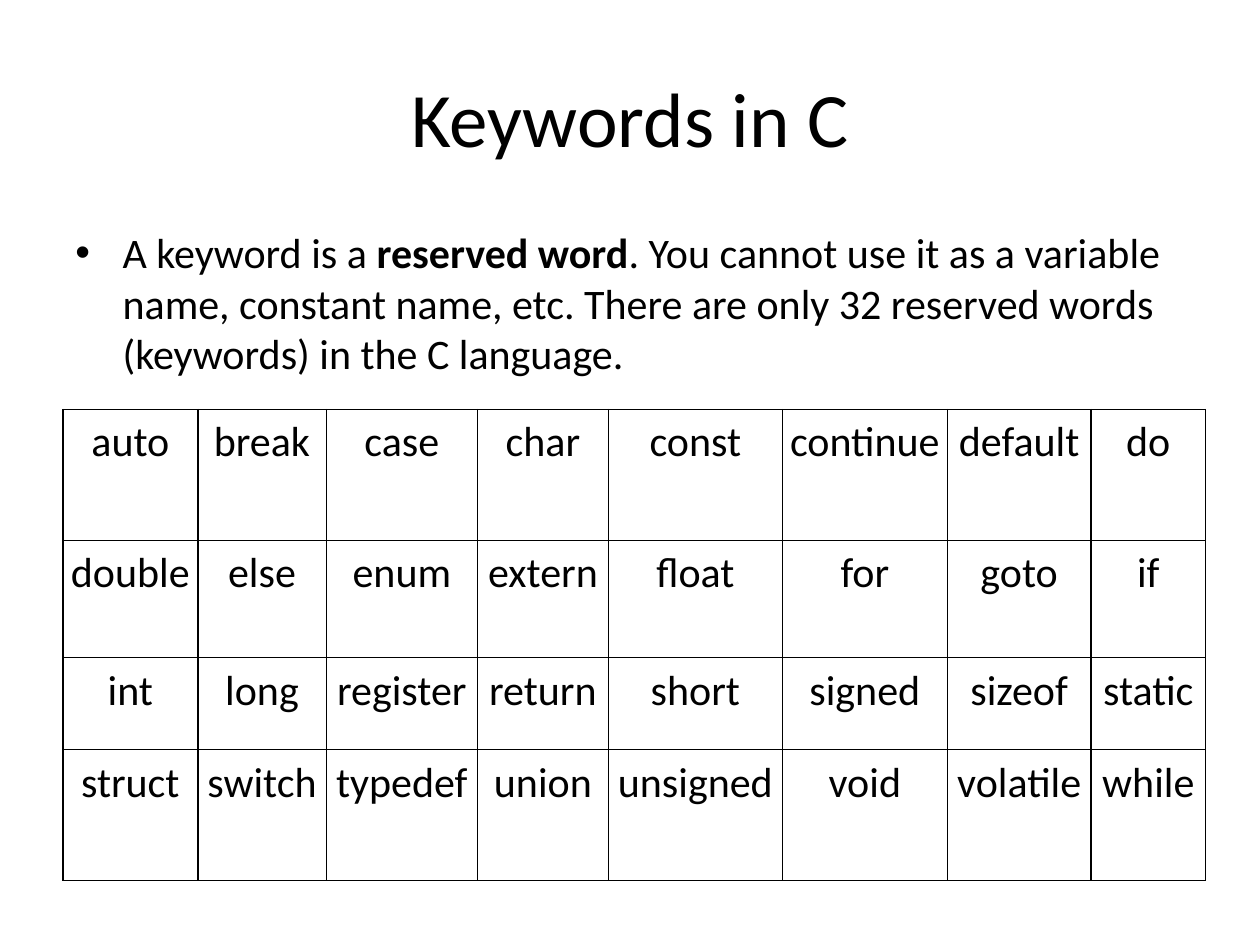
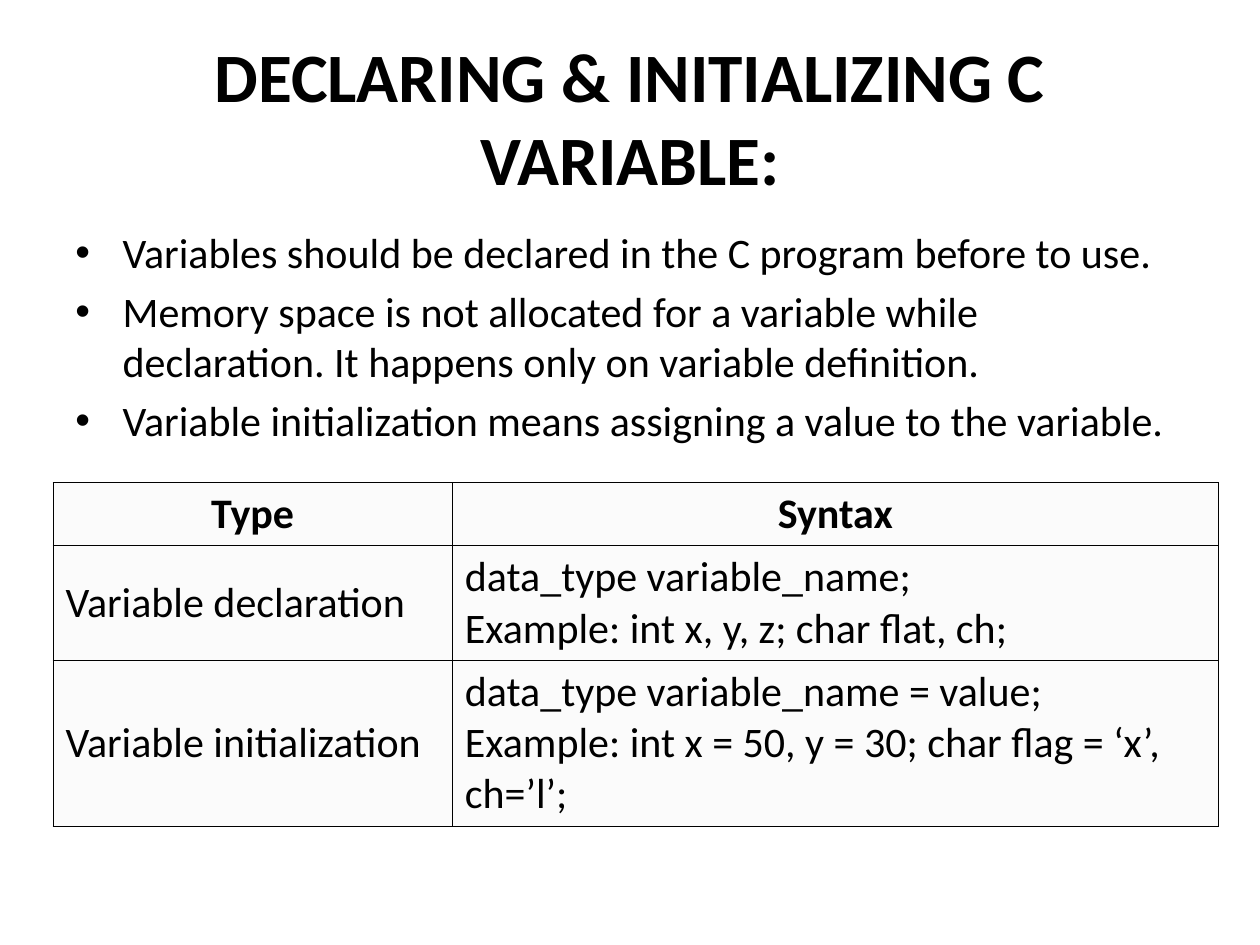
from lxml import etree
from pptx import Presentation
from pptx.dml.color import RGBColor
from pptx.enum.text import MSO_ANCHOR as Anchor, PP_ALIGN as Align
from pptx.oxml.ns import qn
from pptx.util import Inches, Pt

FONT, BLACK, CELL_GREY = "Calibri", "000000", "FBFBFB"
BODY_SIZE = 24
SLIDE_WIDTH, SLIDE_HEIGHT = 10, 7.5
MARGIN = 0.05 * SLIDE_WIDTH
TITLE_BOX = (MARGIN, 0.04 * SLIDE_HEIGHT, SLIDE_WIDTH - 2 * MARGIN, 1.25)
BODY_BOX = (MARGIN, 1.75, SLIDE_WIDTH - 2 * MARGIN, 4.95)
BULLET_INDENT = 0.375

# A paragraph is a list of (text, bold) runs; a cell is a list of lines.
SLIDES = [
    {
        "title": "Keywords in C",
        "title_format": {"size": 44},
        "bullets": [[
            ("A keyword is a ", False),
            ("reserved word", True),
            (". You cannot use it as a variable name, constant name, etc. "
             "There are only 32 reserved words (keywords) in the C language.", False),
        ]],
        "rows": [[[word] for word in line.split()] for line in (
            "auto break case char const continue default do",
            "double else enum extern float for goto if",
            "int long register return short signed sizeof static",
            "struct switch typedef union unsigned void volatile while",
        )],
        "table_format": {
            "corner": (MARGIN, 3.25),
            "widths": [1.07, 1.02, 1.2, 1.04, 1.38, 1.31, 1.14, 0.91],
            "heights": [1.04, 0.93, 0.73, 1.04],
            "insets": (0.06, 0.06), "border": 1, "centred": True,
        },
    },
    {
        "title": "DECLARING & INITIALIZING C VARIABLE:",
        "title_format": {"size": 39.6, "bold": True},
        "bullets": [
            [("Variables should be declared in the C program before to use.", False)],
            [("Memory space is not allocated for a variable while declaration. "
              "It happens only on variable definition.", False)],
            [("Variable initialization means assigning a value to the variable.", False)],
        ],
        "rows": [
            [["Type"], ["Syntax"]],
            [["Variable declaration"],
             ["data_type variable_name;", "Example: int x, y, z; char flat, ch;"]],
            [["Variable initialization"],
             ["data_type variable_name = value;",
              "Example: int x = 50, y = 30; char flag = ‘x’, ch=’l’;"]],
        ],
        "table_format": {
            "corner": (0.42, 3.83),
            "widths": [3.17, 6.08],
            "heights": [0.5, 0.91, 1.32],
            "insets": (0.1, 0.05), "border": 0.5, "fill": CELL_GREY,
            "anchor": Anchor.MIDDLE, "header": True,
        },
    },
]


def color(value):
    return RGBColor.from_string(value)


def inches(values):
    return [Inches(value) for value in values]


def write(paragraph, text, size=BODY_SIZE, bold=False, align=None):
    """Add one formatted run to a paragraph."""
    run = paragraph.add_run()
    run.text = text
    run.font.name, run.font.size, run.font.bold = FONT, Pt(size), bold
    run.font.color.rgb = color(BLACK)
    if align is not None:
        paragraph.alignment = align


def paragraphs_for(frame, items):
    """Yield a paragraph of the frame with each item."""
    for index, item in enumerate(items):
        yield (frame.add_paragraph() if index else frame.paragraphs[0]), item


def add_title(slide, text, **text_format):
    title = slide.shapes.title
    title.left, title.top, title.width, title.height = inches(TITLE_BOX)
    title.text_frame.vertical_anchor = Anchor.MIDDLE
    write(title.text_frame.paragraphs[0], text, align=Align.CENTER, **text_format)


def add_bullets(slide, bullets):
    frame = slide.shapes.add_textbox(*inches(BODY_BOX)).text_frame
    frame.word_wrap = True
    for paragraph, runs in paragraphs_for(frame, bullets):
        properties = paragraph._p.get_or_add_pPr()
        properties.set("marL", str(Inches(BULLET_INDENT)))
        properties.set("indent", str(-Inches(BULLET_INDENT)))
        etree.SubElement(properties, qn("a:buFont"), typeface="Arial")
        etree.SubElement(properties, qn("a:buChar"), char="•")
        if runs is not bullets[0]:
            paragraph.space_before = Pt(0.2 * BODY_SIZE)
        for text, bold in runs:
            write(paragraph, text, bold=bold)


def set_borders(cell, width):
    properties = cell._tc.get_or_add_tcPr()
    for index, side in enumerate("LRTB"):
        line = etree.Element(qn(f"a:ln{side}"), w=str(Pt(width)))
        fill = etree.SubElement(line, qn("a:solidFill"))
        etree.SubElement(fill, qn("a:srgbClr"), val=BLACK)
        properties.insert(index, line)


def add_table(slide, rows, corner, widths, heights, insets, border,
              fill=None, anchor=Anchor.TOP, header=False, centred=False):
    table = slide.shapes.add_table(
        len(rows), len(widths), *inches((*corner, sum(widths), sum(heights)))).table
    table.first_row = table.horz_banding = False
    for column, width in zip(table.columns, widths):
        column.width = Inches(width)
    for row_index, (row, height) in enumerate(zip(table.rows, heights)):
        row.height = Inches(height)
        is_header = header and row_index == 0
        align = Align.CENTER if centred or is_header else Align.LEFT
        for cell, lines in zip(row.cells, rows[row_index]):
            cell.margin_left = cell.margin_right = Inches(insets[0])
            cell.margin_top = cell.margin_bottom = Inches(insets[1])
            cell.vertical_anchor = anchor
            if fill:
                cell.fill.solid()
                cell.fill.fore_color.rgb = color(fill)
            else:
                cell.fill.background()
            set_borders(cell, border)
            for paragraph, line in paragraphs_for(cell.text_frame, lines):
                write(paragraph, line, bold=is_header, align=align)


def main():
    presentation = Presentation()
    presentation.slide_width = Inches(SLIDE_WIDTH)
    presentation.slide_height = Inches(SLIDE_HEIGHT)
    title_only = presentation.slide_layouts[5]
    for content in SLIDES:
        slide = presentation.slides.add_slide(title_only)
        add_title(slide, content["title"], **content["title_format"])
        add_bullets(slide, content["bullets"])
        add_table(slide, content["rows"], **content["table_format"])
    presentation.save("out.pptx")


if __name__ == "__main__":
    main()
